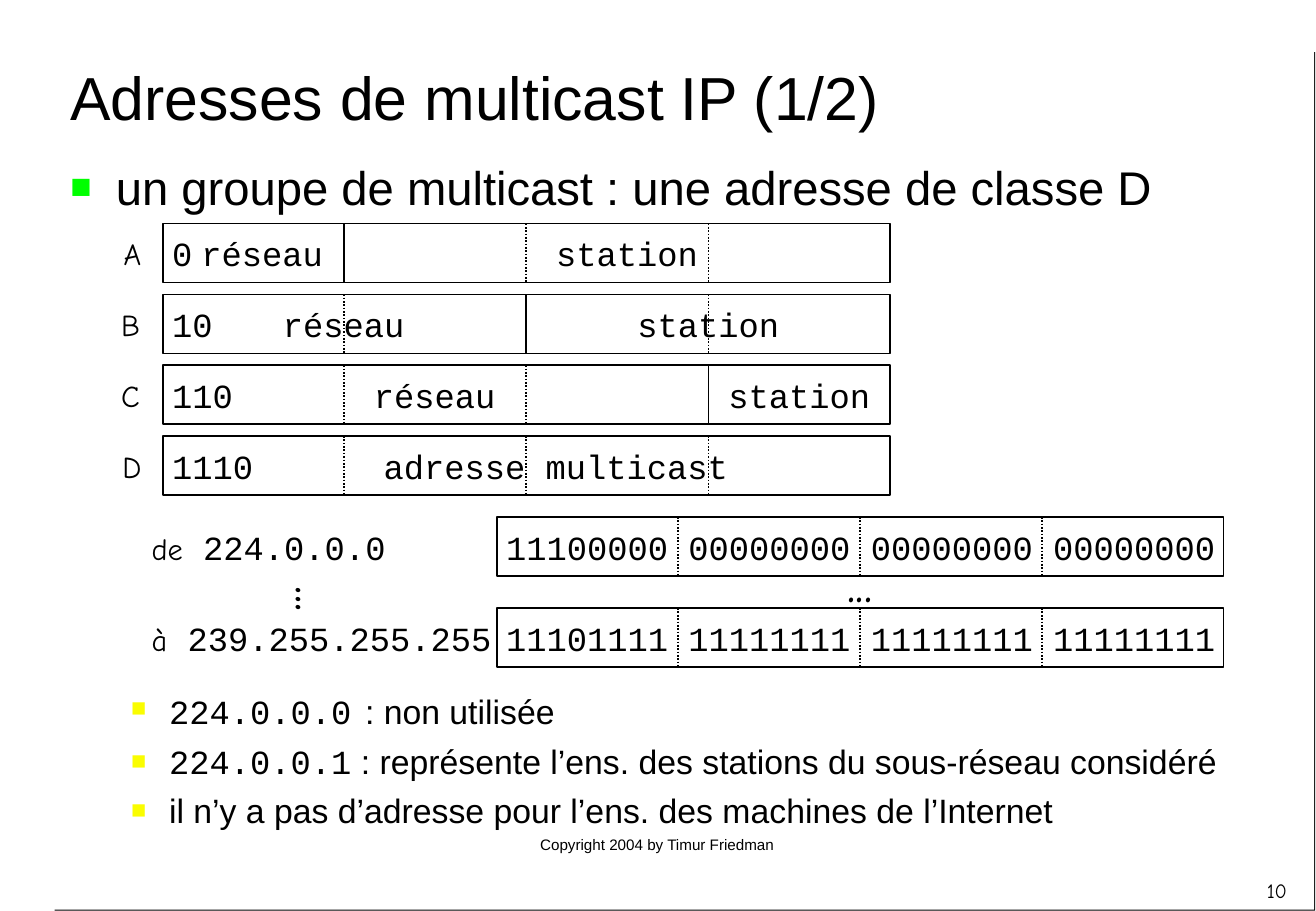
"""Build a slide on IP multicast addresses."""
from dataclasses import dataclass

from lxml.etree import SubElement
from pptx import Presentation
from pptx.dml.color import RGBColor
from pptx.enum.dml import MSO_LINE
from pptx.enum.shapes import MSO_CONNECTOR, MSO_SHAPE
from pptx.enum.text import MSO_ANCHOR, MSO_AUTO_SIZE, PP_ALIGN
from pptx.oxml.ns import qn
from pptx.shapes.autoshape import Shape
from pptx.shapes.shapetree import SlideShapes
from pptx.text.text import Font
from pptx.util import Pt


@dataclass(frozen=True)
class Style:
    """A typeface at a size."""
    face: str
    size: float


@dataclass(frozen=True)
class Theme:
    """Colours and type styles of the slide."""
    ink: str = "000000"
    paper: str = "FFFFFF"
    green: str = "00FF00"
    yellow: str = "FAFD00"
    title: Style = Style("Arial", 36)
    lead: Style = Style("Arial", 28)
    body: Style = Style("Arial", 20)
    foot: Style = Style("Arial", 9)
    code: Style = Style("Courier New", 20)
    label: Style = Style("Comic Neue", 18)
    gap: Style = Style("Comic Neue", 24)
    dots: Style = Style("Comic Neue", 32)
    page: Style = Style("Comic Neue", 12)


THEME = Theme()
Span = tuple[str, Style]


@dataclass(frozen=True)
class Bullet:
    """Colour, indents and spacing of a bullet."""
    hue: str
    left: float
    hang: float
    before: float
    level: int = 0


@dataclass(frozen=True)
class Note:
    """A block of text and its place."""
    left: float
    top: float
    width: float
    height: float
    lines: list[list[Span]]
    bullet: Bullet | None = None
    align: PP_ALIGN = PP_ALIGN.LEFT
    anchor: MSO_ANCHOR = MSO_ANCHOR.TOP
    wrap: bool = True
    grow: bool = False
    turn: float = 0


@dataclass(frozen=True)
class Class:
    """An address class with its prefix, solid tick and placed words."""
    name: str
    left: float
    bits: str
    solid: int | None
    words: list[tuple[str, float]]


@dataclass(frozen=True)
class Bound:
    """One end of the multicast address range."""
    word: str
    address: str
    bits: str
    top: float
    width: float


CLASSES = [
    Class("A", 66.2, "0", 0, [("réseau", 112.3), ("station", 322.6)]),
    Class("B", 64.8, "10", 1, [("réseau", 160.6), ("station", 370.8)]),
    Class("C", 64.8, "110", 2, [("réseau", 214.6), ("station", 424.8)]),
    Class("D", 65.5, "1110", None, [("adresse multicast", 220.3)]),
]
BOUNDS = [
    Bound("de", " 224.0.0.0", "11100000 00000000 00000000 00000000", 306, 193),
    Bound("à", " 239.255.255.255", "11101111 11111111 11111111 11111111", 360, 229),
]
FACTS = [
    [("224.0.0.0", THEME.code), (" ", THEME.gap), (": non utilisée", THEME.body)],
    [("224.0.0.1", THEME.code),
     (" : représente l’ens. des stations du sous-réseau considéré", THEME.body)],
    [("il n’y a pas d’adresse pour l’ens. des machines de l’Internet", THEME.body)],
]
DOTS = [[("...", THEME.dots)]]
NOTES = [
    Note(248.4, 491.8, 282.2, 37.4, [[("Copyright 2004 by Timur Friedman", THEME.foot)]],
         align=PP_ALIGN.CENTER),
    Note(34.6, 12.2, 745.2, 90, [[("Adresses de multicast IP (1/2)", THEME.title)]],
         anchor=MSO_ANCHOR.MIDDLE),
    Note(34.6, 90, 745.2, 41.8,
         [[("un groupe de multicast : une adresse de classe D", THEME.lead)]],
         Bullet(THEME.green, 27, 27, 7)),
    Note(495.4, 321.8, 29.5, 45.4, DOTS, wrap=False, grow=True),
    Note(146.2, 327.6, 38.2, 45.4, DOTS, grow=True, turn=270),
    Note(34.6, 401.8, 745.2, 120.2, FACTS, Bullet(THEME.yellow, 58.5, 22.5, 5, 1)),
    Note(738, 509.8, 32.2, 36, [[("10", THEME.page)]],
         align=PP_ALIGN.RIGHT, anchor=MSO_ANCHOR.MIDDLE),
]


def dress(font: Font, style: Style) -> None:
    """Give a font its face, size and colour."""
    font.name, font.size = style.face, Pt(style.size)
    font.color.rgb = RGBColor.from_string(THEME.ink)


def write(shapes: SlideShapes, note: Note) -> None:
    """Add one text box."""
    box = shapes.add_textbox(Pt(note.left), Pt(note.top), Pt(note.width), Pt(note.height))
    box.rotation = note.turn
    frame = box.text_frame
    frame.word_wrap, frame.vertical_anchor = note.wrap, note.anchor
    frame.auto_size = MSO_AUTO_SIZE.SHAPE_TO_FIT_TEXT if note.grow else MSO_AUTO_SIZE.NONE
    for rank, spans in enumerate(note.lines):
        line = frame.add_paragraph() if rank else frame.paragraphs[0]
        line.alignment = note.align
        if note.bullet:
            mark = note.bullet
            line.level, line.space_before = mark.level, Pt(mark.before)
            props = line._p.get_or_add_pPr()
            props.set("marL", str(Pt(mark.left)))
            props.set("indent", str(-Pt(mark.hang)))
            SubElement(SubElement(props, qn("a:buClr")), qn("a:srgbClr"), val=mark.hue)
            SubElement(props, qn("a:buSzPct"), val="75000")
            SubElement(props, qn("a:buFont"), typeface=THEME.body.face)
            SubElement(props, qn("a:buChar"), char="■")
        same = len({style for _, style in spans}) == 1
        if same:
            dress(line.font, spans[0][1])
        for text, style in spans:
            run = line.add_run()
            run.text = text
            if not same:
                dress(run.font, style)


def tick(shapes: SlideShapes, box: Shape, left: float, solid: bool, mid: bool) -> None:
    """Draw an octet border across a box."""
    rule = shapes.add_connector(MSO_CONNECTOR.STRAIGHT, Pt(left), box.top,
                                Pt(left), box.top + box.height)
    if mid:
        rule.begin_connect(box, 0)
        rule.end_connect(box, 2)
    rule.line.width = Pt(1)
    rule.line.color.rgb = RGBColor.from_string(THEME.ink)
    if not solid:
        rule.line.dash_style = MSO_LINE.ROUND_DOT
    SubElement(rule._element.spPr, qn("a:effectLst"))


def word(text: str, left: float, top: float) -> Note:
    """Make a code word whose box fits its letters."""
    return Note(left, top + 2.5, 15.5 + 12 * len(text), 31, [[(text, THEME.code)]],
                wrap=False, grow=True)


def field(shapes: SlideShapes, left: float, top: float, bits: str,
          solid: int | None = None) -> None:
    """Draw a 32-bit address box with its bits and three octet borders."""
    write(shapes, Note(left - 1, top + 2.5, 440, 31, [[(bits, THEME.code)]], grow=True))
    box = shapes.add_shape(MSO_SHAPE.RECTANGLE, Pt(left + 0.5), Pt(top + 0.5), Pt(431), Pt(35))
    box.shadow.inherit = False
    box.fill.background()
    box.line.width = Pt(1)
    box.line.color.rgb = RGBColor.from_string(THEME.ink)
    for rank in range(3):
        tick(shapes, box, left + 108 * (rank + 1), rank == solid, rank == 1)


def panel(shapes: SlideShapes) -> None:
    """Draw the white page panel with its thin hard shadow."""
    page = shapes.add_shape(MSO_SHAPE.RECTANGLE, Pt(31.7), Pt(30.2), Pt(747.4), Pt(509))
    page.fill.solid()
    page.fill.fore_color.rgb = RGBColor.from_string(THEME.paper)
    page.line.fill.background()
    page.shadow.inherit = False
    shade = SubElement(page._element.spPr.find(qn("a:effectLst")), qn("a:outerShdw"),
                       blurRad="0", dist=str(Pt(1)), dir="2700000", algn="ctr", rotWithShape="0")
    SubElement(shade, qn("a:srgbClr"), val=THEME.ink)


def main() -> None:
    """Build and save the deck."""
    deck = Presentation()
    deck.slide_width, deck.slide_height = Pt(780.25), Pt(540)
    shapes = deck.slides.add_slide(deck.slide_layouts[6]).shapes
    panel(shapes)
    for rank, item in enumerate(CLASSES):
        top = 132 + 42 * rank
        field(shapes, 96, top, item.bits, item.solid)
        write(shapes, Note(item.left, top + 4, 25.5, 29, [[(item.name, THEME.label)]],
                           wrap=False, grow=True))
        for text, left in item.words:
            write(shapes, word(text, left, top))
    for end in BOUNDS:
        field(shapes, 294, end.top, end.bits)
        spans = [(end.word, THEME.label), (end.address, THEME.code)]
        write(shapes, Note(82.8, end.top + 2.5, end.width, 31, [spans], grow=True))
    for note in NOTES:
        write(shapes, note)
    deck.save("out.pptx")


if __name__ == "__main__":
    main()
